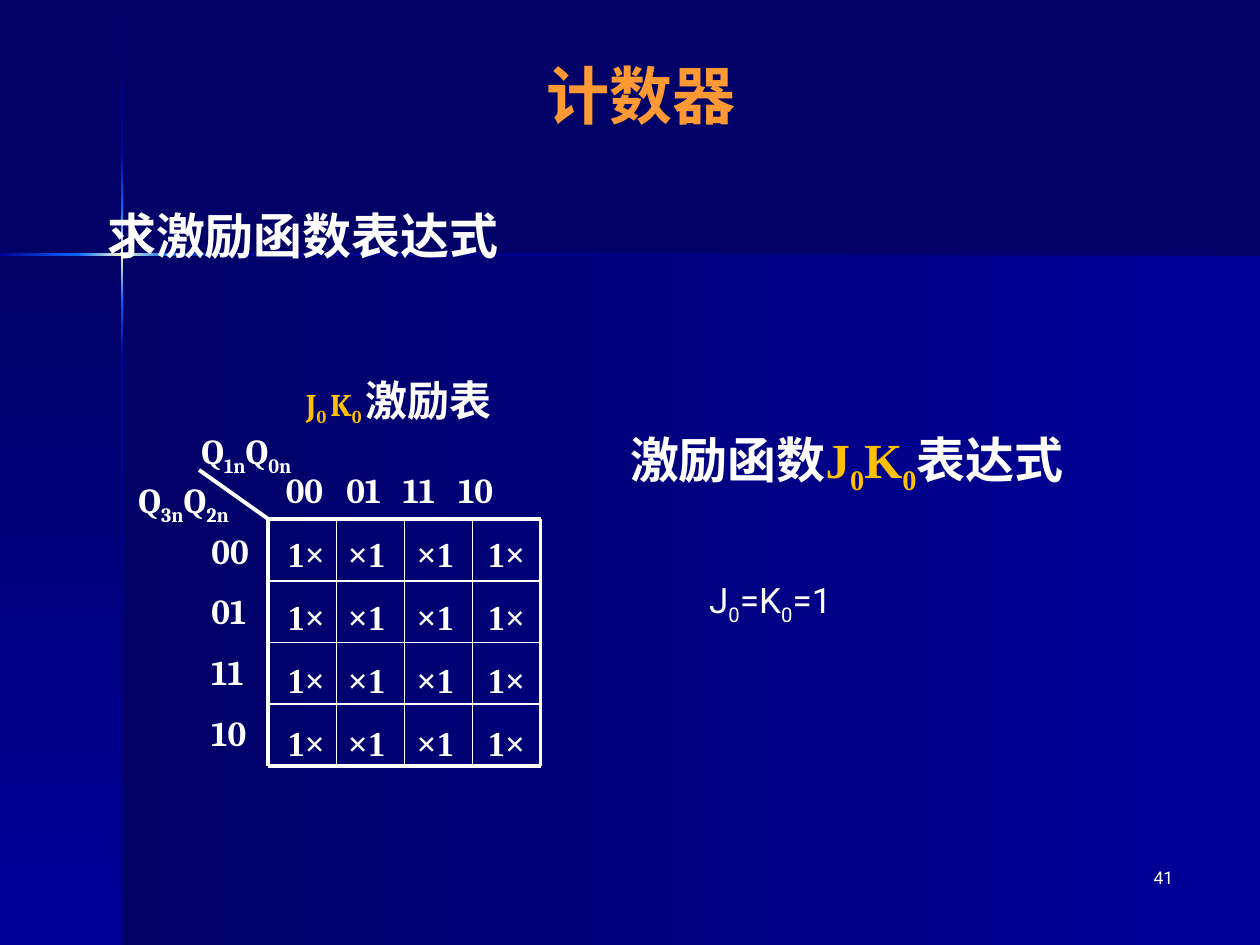
from dataclasses import dataclass
from itertools import pairwise

from lxml import etree
from pptx import Presentation
from pptx.dml.color import RGBColor
from pptx.enum import shapes, text
from pptx.oxml.ns import qn
from pptx.util import Inches, Pt

COLORS = {"night": "000066", "blue": "000099", "glow": "0066FF", "cream": "FFFFCC",
          "white": "FFFFFF", "orange": "FF9933", "gold": "FFC000"}

FORMATS = {
    "title": {"name": "Roboto", "size": Pt(36), "bold": True},
    "heading": {"name": "Cambria", "size": Pt(28), "bold": True},
    "symbol": {"name": "Times New Roman", "size": Pt(28), "bold": True},
    "caption": {"name": "Cambria", "size": Pt(24), "bold": True},
    "caption_symbol": {"name": "Cambria", "size": Pt(18), "bold": True},
    "label": {"name": "Cambria", "size": Pt(20), "bold": True},
    "cell": {"name": "Times New Roman", "size": Pt(20), "bold": True},
    "formula": {"name": "Roboto", "size": Pt(20), "bold": False},
    "page": {"name": "Roboto", "size": Pt(10), "bold": False},
}
ALIGN = text.PP_ALIGN


@dataclass
class Run:
    text: str
    fmt: str
    color: str = "white"
    sub: bool = False


@dataclass
class Label:
    box: tuple[float, float, float, float]
    lines: list[list[Run]]
    align: text.PP_ALIGN = ALIGN.LEFT
    gap: float = 0


def with_subs(parts: list[str], fmt: str, color: str = "white") -> list[Run]:
    """Make runs in which every second part is a subscript."""
    return [Run(part, fmt, color, i % 2 == 1) for i, part in enumerate(parts)]


def rgb(name: str) -> RGBColor:
    return RGBColor.from_string(COLORS[name])


def place(sp, box: tuple[float, float, float, float]) -> None:
    for name, value in zip(("left", "top", "width", "height"), box):
        setattr(sp, name, Inches(value))


def fill_text(tf, label: Label) -> None:
    tf.word_wrap = True
    for i, runs in enumerate(label.lines):
        p = tf.add_paragraph() if i else tf.paragraphs[0]
        p.alignment = label.align
        if i:
            p.space_before = Pt(label.gap)
        for run in runs:
            r = p.add_run()
            r.text = run.text
            for name, value in FORMATS[run.fmt].items():
                setattr(r.font, name, value)
            r.font.color.rgb = rgb(run.color)
            if run.sub:
                r.font._element.set("baseline", "-25000")


def add_label(s, label: Label):
    sp = s.shapes.add_textbox(*map(Inches, label.box))
    fill_text(sp.text_frame, label)
    return sp


def add_band(s, box: tuple[float, float, float, float], stops: list[str], down: bool) -> None:
    sp = s.shapes.add_shape(shapes.MSO_SHAPE.RECTANGLE, *map(Inches, box))
    sp.shadow.inherit = False
    sp.line.fill.background()
    sp.fill.gradient()
    sp.fill.gradient_angle = 270 if down else 0
    gs_list = sp._element.spPr.find(".//" + qn("a:gsLst"))
    for gs in list(gs_list):
        gs_list.remove(gs)
    for i, name in enumerate(stops):
        gs = etree.SubElement(gs_list, qn("a:gs"), pos=str(100000 * i // (len(stops) - 1)))
        etree.SubElement(gs, qn("a:srgbClr"), val=COLORS[name])


def add_line(s, x1: float, y1: float, x2: float, y2: float, width: float) -> None:
    line = s.shapes.add_connector(shapes.MSO_CONNECTOR.STRAIGHT, *map(Inches, (x1, y1, x2, y2)))
    line.line.color.rgb = rgb("white")
    line.line.width = Pt(width)
    etree.SubElement(line._element.spPr, qn("a:effectLst"))


def add_background(s) -> None:
    s.background.fill.solid()
    s.background.fill.fore_color.rgb = rgb("night")
    add_band(s, (0.97, 2.02, 9.03, 5.48), ["night", "blue"], False)
    add_band(s, (0, 2.02, 0.97, 5.48), ["night", "blue"], True)
    # Light streaks crossing at the corner of the panels
    streak = [["night", "blue"], ["blue", "glow"], ["glow", "cream", "glow"],
              ["glow", "blue"], ["blue", "night"]]
    for (y1, y2), stops in zip(pairwise([0.01, 1.21, 1.65, 2.38, 2.82, 7.5]), streak):
        add_band(s, (0.96, y1, 0.02, y2 - y1), stops, True)
    for (x1, x2), stops in zip(pairwise([0, 0.61, 1.33, 1.77, 10]), streak[1:]):
        add_band(s, (x1, 2.01, x2 - x1, 0.02), stops, False)


def add_karnaugh_map(s) -> None:
    left, top, cell_w, cell_h, n = 2.13, 4.12, 0.54, 0.49, 4
    right, bottom = left + n * cell_w, top + n * cell_h
    # Grid, with heavier outer lines
    for i in range(n + 1):
        width = 2.25 if i in (0, n) else 1
        x, y = left + i * cell_w, top + i * cell_h
        add_line(s, left, y, right, y, width)
        add_line(s, x, top, x, bottom, width)
    add_line(s, left, top, 1.58, 3.73, 2.25)

    # Variable names and codes
    codes = ["00", "01", "11", "10"]
    add_label(s, Label((1.5, 3.36, 1.12, 0.43), [with_subs(["Q", "1n", "Q", "0n"], "label")]))
    add_label(s, Label((1, 3.75, 1.13, 0.43), [with_subs(["Q", "3n", "Q", "2n"], "label")]))
    add_label(s, Label((1.58, 4.15, 0.59, 1.93), [[Run(c, "label")] for c in codes], gap=10.7))
    header = add_label(s, Label((2.17, 3.67, 2.16, 0.43), [[Run("\t".join(codes), "label")]]))
    p_pr = header.text_frame.paragraphs[0]._p.get_or_add_pPr()
    tabs = etree.SubElement(p_pr, qn("a:tabLst"))
    for pos in (0.48, 0.93, 1.37):
        etree.SubElement(tabs, qn("a:tab"), pos=str(Inches(pos)), algn="l")
    add_label(s, Label((2.33, 2.92, 2.55, 0.5), [
        with_subs(["J", "0 ", "K", "0 "], "caption_symbol", "gold") + [Run("激励表", "caption")]]))

    # Cell values, the same in every row
    columns = [("1×", 2.08, 0.7), ("×1", 2.58, 0.66), ("×1", 3.08, 0.75), ("1×", 3.67, 0.7)]
    for value, x, w in columns:
        for row in range(n):
            box = (x, 4.18 + 0.5 * row, w, 0.49)
            add_label(s, Label(box, [[Run(value, "cell")]], ALIGN.CENTER))


def add_placeholders(s) -> None:
    title, body = s.shapes.title, s.placeholders[1]
    contents = [
        (title, Label((0.5, 0.33, 9.17, 0.83), [[Run("计数器", "title", "orange")]], ALIGN.CENTER)),
        (body, Label((0.75, 1.58, 8.67, 5.08), [[Run("求激励函数表达式", "heading")]])),
    ]
    for sp, label in contents:
        place(sp, label.box)
        fill_text(sp.text_frame, label)
        sp.text_frame.auto_size = text.MSO_AUTO_SIZE.NONE
        sp._element.getparent().append(sp._element)  # bring in front of the background
    title.text_frame.vertical_anchor = text.MSO_ANCHOR.MIDDLE
    p_pr = body.text_frame.paragraphs[0]._p.get_or_add_pPr()
    p_pr.set("marL", "0")
    p_pr.set("indent", "0")
    etree.SubElement(p_pr, qn("a:buNone"))


def main() -> None:
    prs = Presentation()
    prs.slide_width, prs.slide_height = Inches(10), Inches(7.5)
    s = prs.slides.add_slide(prs.slide_layouts[1])
    add_background(s)
    add_placeholders(s)
    add_label(s, Label((7.33, 6.83, 2.08, 0.5), [[Run("41", "page")]], ALIGN.RIGHT))
    add_karnaugh_map(s)

    # Resulting expression
    add_label(s, Label((4.87, 3.36, 3.7, 0.57), [
        [Run("激励函数", "heading"), *with_subs(["J", "0", "K", "0"], "symbol", "gold"),
         Run("表达式", "heading")]], ALIGN.CENTER))
    add_label(s, Label((5.53, 4.54, 1.73, 0.44),
                       [with_subs(["J", "0", "=K", "0", "=1"], "formula")]))
    prs.save("out.pptx")


if __name__ == "__main__":
    main()
